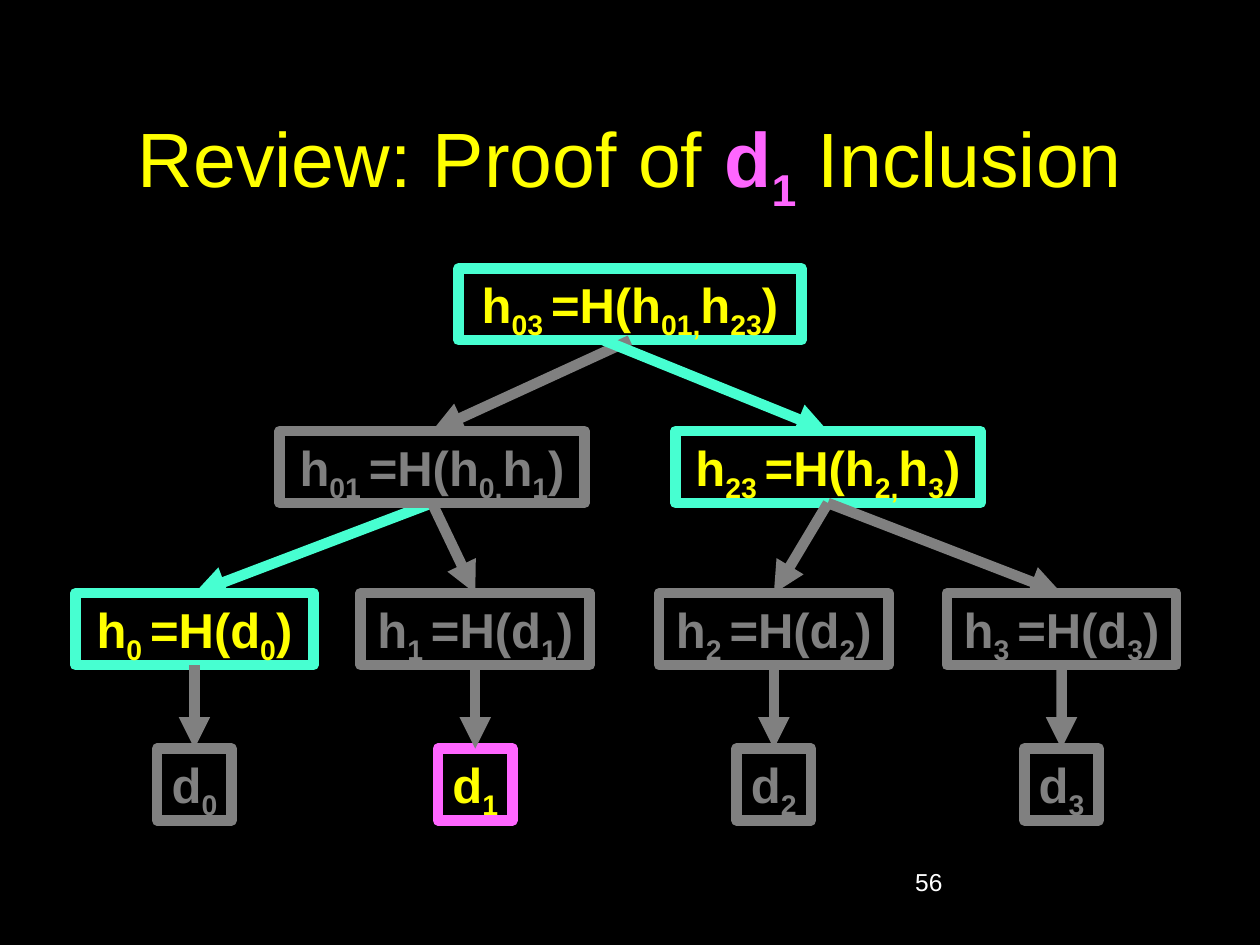
from typing import Any, NamedTuple, Optional

from lxml.etree import SubElement
from pptx import Presentation
from pptx.dml.color import RGBColor
from pptx.enum.shapes import MSO_CONNECTOR as Wire, MSO_SHAPE as Form
from pptx.enum.text import MSO_ANCHOR as Anchor, MSO_AUTO_SIZE as Fit, PP_ALIGN as Align
from pptx.oxml.ns import qn
from pptx.util import Cm, Pt

BLACK = RGBColor(0x00, 0x00, 0x00)
WHITE = RGBColor(0xFF, 0xFF, 0xFF)
YELLOW = RGBColor(0xFF, 0xFF, 0x00)
PINK = RGBColor(0xFF, 0x66, 0xFF)
AQUA = RGBColor(0x47, 0xFF, 0xD1)
GRAY = RGBColor(0x80, 0x80, 0x80)

TALL = 1.45
MID = 12.7
SIDE = 3.99
LEAVES = (3.92, 9.58, 15.6, 21.4)
ROOT_Y, PAIR_Y, HASH_Y, DATA_Y = 5.41, 8.69, 11.96, 15.09
BOLD = {"name": "Arial", "size": Pt(28), "bold": True}
HEAD = {"name": "Arial", "size": Pt(44), "bold": False}
SMALL = {"name": "Arial", "size": Pt(14)}
FRAME = {"word_wrap": False, "auto_size": Fit.SHAPE_TO_FIT_TEXT,
         "vertical_anchor": Anchor.TOP}


class Node(NamedTuple):
    key: str
    text: str
    mid: float
    top: float
    wide: float
    edge: RGBColor = GRAY
    ink: RGBColor = GRAY


class Link(NamedTuple):
    start: str
    end: str
    color: RGBColor = GRAY
    under: bool = False
    left: Optional[float] = None


def apply(item: Any, values: dict) -> None:
    for name, value in values.items():
        setattr(item, name, value)


def write(para: Any, text: str, style: dict, color: RGBColor) -> None:
    for i, part in enumerate(text.split("|")):
        run = para.add_run()
        run.text = part
        apply(run.font, style)
        run.font.color.rgb = color
        if i % 2:
            run._r.get_or_add_rPr().set("baseline", "-25000")


def draw_node(slide: Any, node: Node) -> Any:
    box = slide.shapes.add_shape(Form.RECTANGLE, Cm(node.mid - node.wide / 2),
                                 Cm(node.top), Cm(node.wide), Cm(TALL))
    box.shadow.inherit = False
    box.fill.solid()
    box.fill.fore_color.rgb = BLACK
    box.line.color.rgb = node.edge
    box.line.width = Pt(6)
    apply(box.text_frame, FRAME)
    para = box.text_frame.paragraphs[0]
    para.alignment = Align.CENTER
    write(para, node.text, BOLD, node.ink)
    return box


def draw_link(slide: Any, link: Link, boxes: dict) -> None:
    start, end = boxes[link.start], boxes[link.end]
    left = Cm(link.left or 0)
    line = slide.shapes.add_connector(Wire.STRAIGHT, left, start.top + start.height,
                                      end.left + end.width // 2, end.top)
    if link.left is None:
        line.begin_connect(start, 2)
    line.end_connect(end, 0)
    line.line.color.rgb = link.color
    line.line.width = Pt(6)
    SubElement(line.line._get_or_add_ln(), qn("a:tailEnd"), type="triangle")
    SubElement(line.element.spPr, qn("a:effectLst"))
    if link.under:
        start.element.addprevious(line.element)


def list_nodes() -> list:
    nodes = []
    for i, mid in enumerate(LEAVES):
        hot = (AQUA, YELLOW) if i == 0 else (GRAY, GRAY)
        goal = (PINK, YELLOW) if i == 1 else (GRAY, GRAY)
        wide = 4.8 if i == 0 else 4.62
        nodes += [Node(f"h{i}", f"h|{i} |=H(d|{i}|)", mid, HASH_Y, wide, *hot),
                  Node(f"d{i}", f"d|{i}", mid, DATA_Y, 1.5, *goal)]
    return nodes + [
        Node("h01", "h|01 |=H(h|0,|h|1|)", MID - SIDE, PAIR_Y, 6.15),
        Node("h23", "h|23 |=H(h|2,|h|3|)", MID + SIDE, PAIR_Y, 6.15, AQUA, YELLOW),
        Node("h03", "h|03 |=H(h|01,|h|23|)", MID, ROOT_Y, 6.91, AQUA, YELLOW),
    ]


def list_links() -> list:
    return [Link(f"h{i}", f"d{i}") for i in range(len(LEAVES))] + [
        Link("h01", "h0", AQUA, under=True),
        Link("h01", "h1", under=True),
        Link("h23", "h2"),
        Link("h23", "h3"),
        Link("h03", "h01"),
        Link("h03", "h23", AQUA, left=12.17),
    ]


def main() -> None:
    deck = Presentation()
    apply(deck, {"slide_width": Cm(25.4), "slide_height": Cm(19.05)})
    slide = deck.slides.add_slide(deck.slide_layouts[5])
    slide.background.fill.solid()
    slide.background.fill.fore_color.rgb = BLACK

    title = slide.shapes.title
    apply(title, {"left": Cm(1.9), "top": Cm(1.7), "width": Cm(21.6), "height": Cm(3.18)})
    apply(title.text_frame, {"word_wrap": True, "auto_size": Fit.NONE,
                             "vertical_anchor": Anchor.MIDDLE})
    para = title.text_frame.paragraphs[0]
    para.alignment = Align.CENTER
    write(para, "Review: Proof of ", HEAD, YELLOW)
    write(para, "d|1", {**HEAD, "bold": True}, PINK)
    write(para, " Inclusion", HEAD, YELLOW)

    page = slide.shapes.add_textbox(Cm(18.2), Cm(17.35), Cm(5.28), Cm(1.27))
    page.text_frame.word_wrap = True
    write(page.text_frame.paragraphs[0], "56", SMALL, WHITE)

    boxes = {node.key: draw_node(slide, node) for node in list_nodes()}
    for link in list_links():
        draw_link(slide, link, boxes)
    deck.save("out.pptx")


if __name__ == "__main__":
    main()
